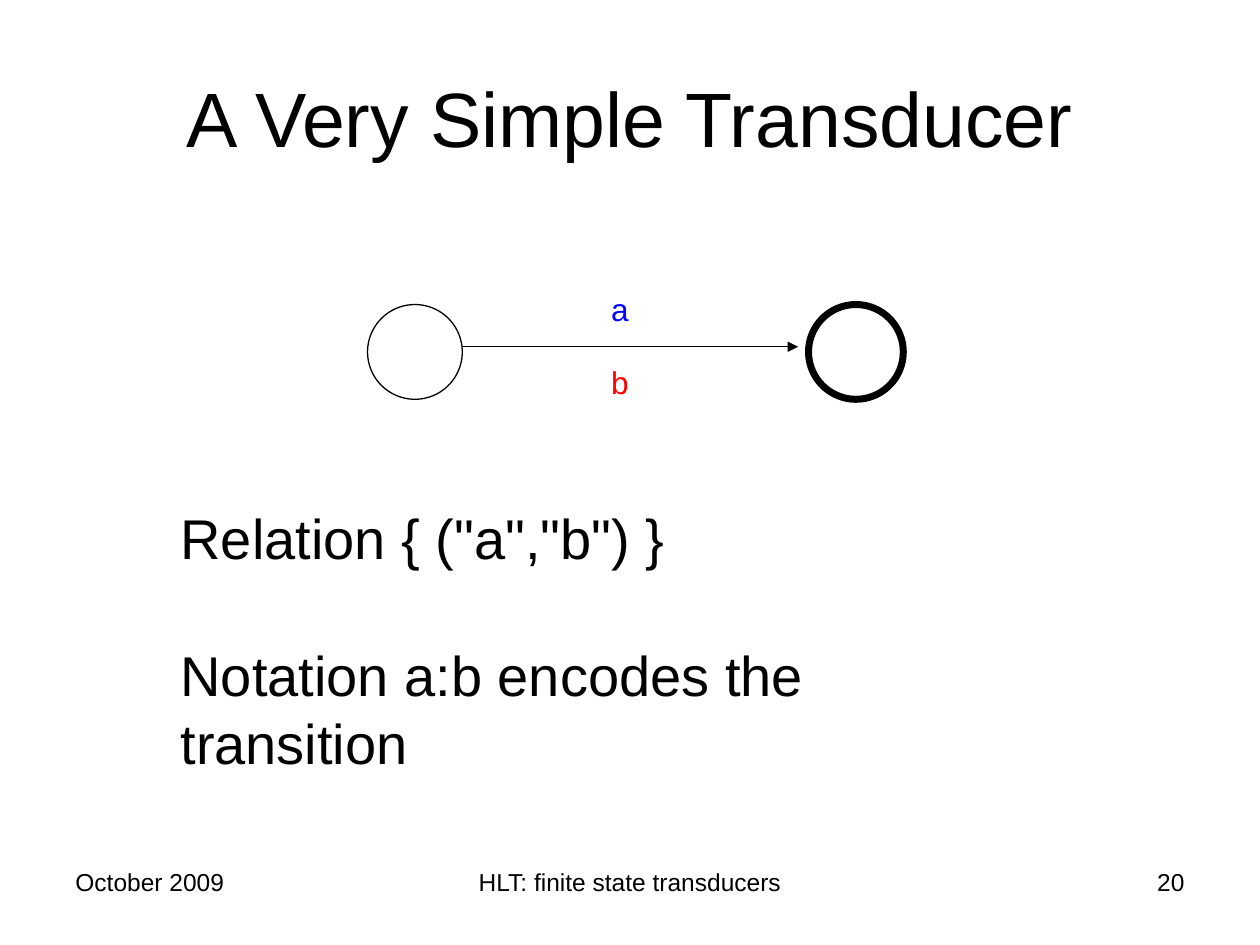
from lxml.etree import SubElement
from pptx import Presentation
from pptx.dml.color import RGBColor
from pptx.enum.shapes import MSO_CONNECTOR as Connector, MSO_SHAPE as Shape
from pptx.enum.text import MSO_ANCHOR as Anchor, MSO_AUTO_SIZE as AutoSize, PP_ALIGN as Align
from pptx.oxml.ns import qn
from pptx.util import Cm, Pt

BLACK = RGBColor(0, 0, 0)
BLUE = RGBColor(0, 0, 255)
RED = RGBColor(255, 0, 0)


def add_span(para, text, size, color=BLACK):
    span = para.add_run()
    span.text = text
    span.font.name = "Arial"
    span.font.size = Pt(size)
    span.font.color.rgb = color


def add_box(left, top, width, height, wrap):
    box = page.shapes.add_textbox(Cm(left), Cm(top), Cm(width), Cm(height))
    box.text_frame.word_wrap = wrap
    box.text_frame.auto_size = AutoSize.NONE if wrap else AutoSize.SHAPE_TO_FIT_TEXT
    return box.text_frame


deck = Presentation()
deck.slide_width, deck.slide_height = Cm(25.4), Cm(19.05)
page = deck.slides.add_slide(deck.slide_layouts[5])

title = page.shapes.title
title.left, title.top, title.width, title.height = Cm(1.27), Cm(0.76), Cm(22.86), Cm(3.18)
title.text_frame.vertical_anchor = Anchor.MIDDLE
para = title.text_frame.paragraphs[0]
para.alignment = Align.CENTER
add_span(para, "A Very Simple Transducer", 44)

for left, line_width in ((7.41, 0.75), (16.3, 4)):
    state = page.shapes.add_shape(Shape.OVAL, Cm(left), Cm(6.14), Cm(1.91), Cm(1.91))
    state.shadow.inherit = False
    state.fill.background()
    state.line.color.rgb = BLACK
    state.line.width = Pt(line_width)

arrow = page.shapes.add_connector(Connector.STRAIGHT, Cm(9.32), Cm(6.99), Cm(16.09), Cm(6.99))
arrow.line.color.rgb = BLACK
arrow.line.width = Pt(0.75)
SubElement(arrow.line._get_or_add_ln(), qn("a:tailEnd"), type="triangle")
SubElement(arrow._element.spPr, qn("a:effectLst"))

for symbol, top, color in (("a", 5.72, BLUE), ("b", 7.2, RED)):
    frame = add_box(12.07, top, 0.86, 1.02, False)
    add_span(frame.paragraphs[0], symbol, 18, color)

frame = add_box(3.39, 10.03, 17.96, 4.32, False)
add_span(frame.paragraphs[0], 'Relation { ("a","b") }', 32)
para = frame.add_paragraph()
para.space_before = Pt(40)
add_span(para, "Notation a:b encodes the transition", 32)

for text, left, width, align in (
    ("October 2009", 1.27, 5.93, Align.LEFT),
    ("HLT: finite state transducers", 8.68, 8.04, Align.CENTER),
    ("20", 18.2, 5.93, Align.RIGHT),
):
    frame = add_box(left, 17.36, width, 1.32, True)
    frame.paragraphs[0].alignment = align
    add_span(frame.paragraphs[0], text, 14)

deck.save("out.pptx")
